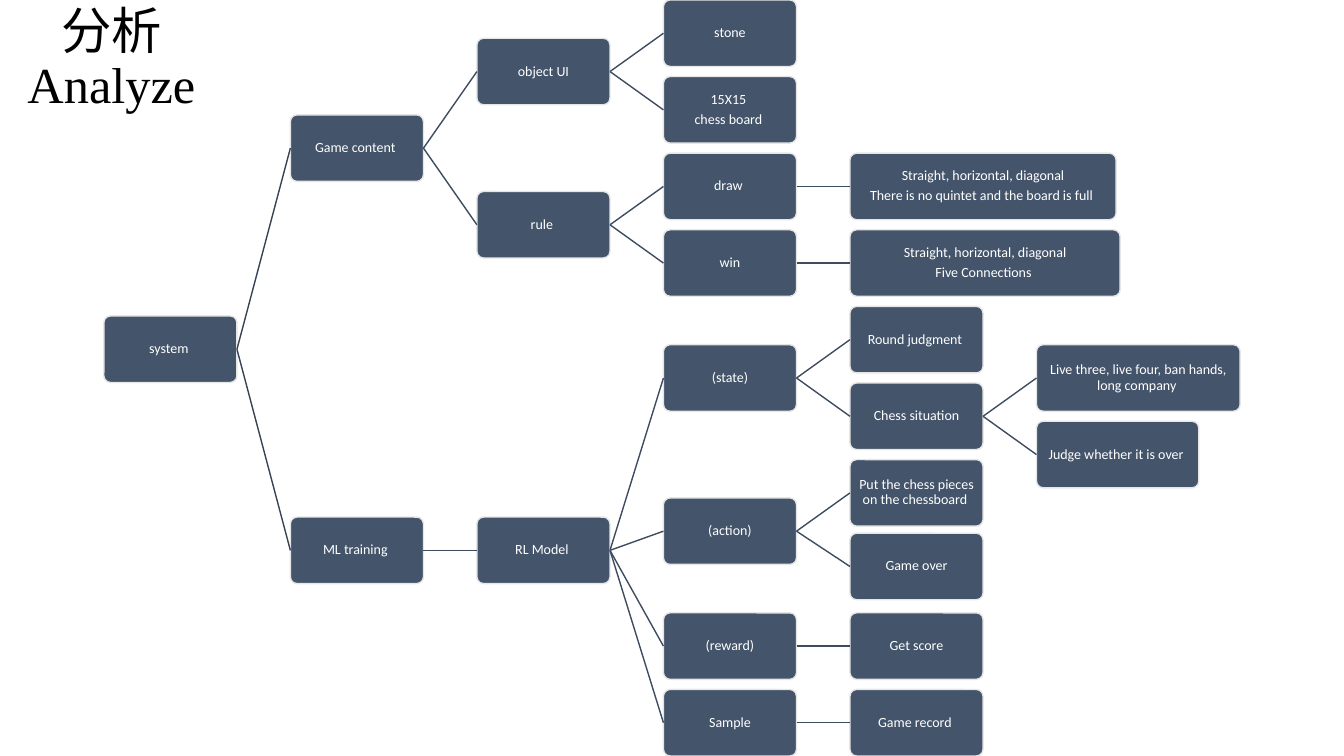
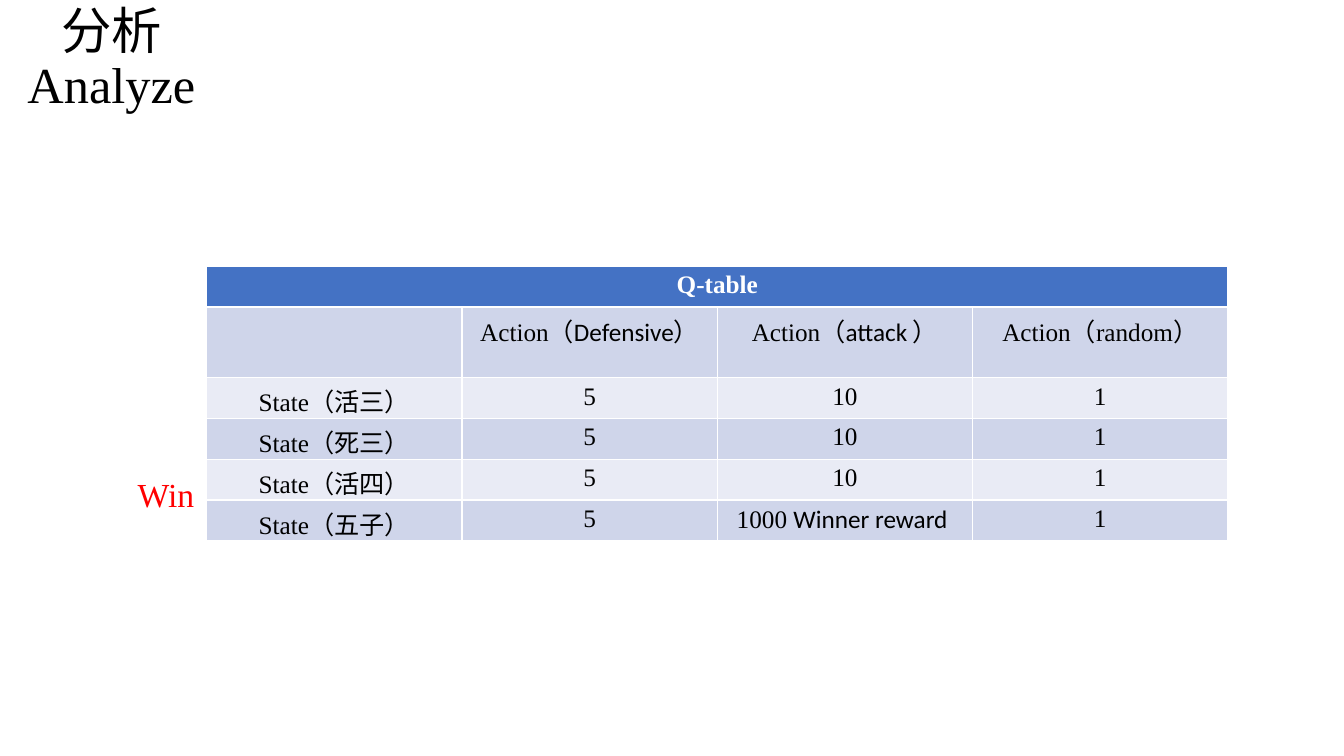
import dataclasses

import pptx
import pptx.dml.color
import pptx.enum.shapes
import pptx.enum.text
import pptx.oxml.ns
import pptx.util
from lxml import etree

Inches = pptx.util.Inches
Pt = pptx.util.Pt

COLORS = {
    "ink": "000000", "white": "FFFFFF", "win": "FF0000",
    "node": "44546A", "node_edge": "E7E6E6",
    "root_link": "364355", "link": "3E4C60",
    "header": "4472C4", "band_dark": "CFD5EA", "band_light": "E9EBF5",
}
SERIF, SANS = "Times New Roman", "Calibri"

# Tree geometry
NODE_W, NODE_H = 1.32, 0.66
COLUMN_STEP, ROW_STEP = 1.85, 0.76


def rgb(name):
    return pptx.dml.color.RGBColor.from_string(COLORS[name])


def style_run(run, font, size, color, bold=False):
    run.font.name = font
    run.font.size = Pt(size)
    run.font.bold = bold
    run.font.color.rgb = rgb(color)


def format_text(frame, font, size, color, line_spacing=1.0, space_after=0):
    for paragraph in frame.paragraphs:
        paragraph.alignment = pptx.enum.text.PP_ALIGN.CENTER
        paragraph.line_spacing = line_spacing
        paragraph.space_after = Pt(space_after)
        for run in paragraph.runs:
            style_run(run, font, size, color)


def add_label(slide, text, box, size, color, anchor, line_spacing=1.0):
    label = slide.shapes.add_textbox(*map(Inches, box)).text_frame
    label.word_wrap = True
    label.vertical_anchor = anchor
    label.text = text
    format_text(label, SERIF, size, color, line_spacing)


def add_titled_slide(deck):
    slide = deck.slides.add_slide(deck.slide_layouts[6])
    add_label(slide, "分析\vAnalyze", (0, 0, 2.21, 1.19), 36, "ink",
              pptx.enum.text.MSO_ANCHOR.MIDDLE, 0.9)
    return slide


# Tree: leaves name their row, parents sit midway between first and last child
@dataclasses.dataclass
class Node:
    text: str
    children: tuple = ()
    leaf_row: float = 0
    width: float = NODE_W
    shift: float = 0

    def row(self):
        if not self.children:
            return self.leaf_row
        return (self.children[0].row() + self.children[-1].row()) / 2


def leaf(text, row, width=NODE_W, shift=0):
    return Node(text, (), row, width, shift)


def branch(text, *children):
    return Node(text, children)


SYSTEM = branch(
    "system ",
    branch(
        "Game content ",
        branch("object UI", leaf("stone", 0), leaf("15X15 \nchess board ", 1)),
        branch(
            "rule ",
            branch("draw ", leaf("Straight, horizontal, diagonal\n"
                                 "There is no quintet and the board is full ", 2, 2.64)),
            branch("win", leaf("Straight, horizontal, diagonal\nFive Connections ", 3, 2.68)))),
    branch(
        "ML training ",
        branch(
            "RL Model ",
            branch(
                "(state)",
                leaf("Round judgment ", 4),
                branch("Chess situation",
                       leaf("Live three, live four, ban hands, long company ", 4.5, 2.02),
                       leaf("Judge whether it is over ", 5.5, 1.61))),
            branch("(action)",
                   leaf("Put the chess pieces on the chessboard ", 6),
                   leaf("Game over", 7, shift=-0.03)),
            branch("(reward)", leaf("Get score", 8)),
            branch("Sample", leaf("Game record ", 9)))))


def add_node(slide, node, left, top):
    box = slide.shapes.add_shape(
        pptx.enum.shapes.MSO_SHAPE.ROUNDED_RECTANGLE,
        Inches(left), Inches(top), Inches(node.width), Inches(NODE_H))
    box.adjustments[0] = 0.1
    box.shadow.inherit = False
    box.fill.solid()
    box.fill.fore_color.rgb = rgb("node")
    box.line.color.rgb = rgb("node_edge")
    box.line.width = Pt(1)
    frame = box.text_frame
    frame.word_wrap = True
    frame.vertical_anchor = pptx.enum.text.MSO_ANCHOR.MIDDLE
    frame.margin_left = frame.margin_right = Inches(0.01)
    frame.margin_top = frame.margin_bottom = Inches(0.01)
    frame.text = node.text
    format_text(frame, SANS, 10, "white", 0.9, 3.5)
    return box


def add_link(slide, parent_box, child_box, color):
    link = slide.shapes.add_connector(
        pptx.enum.shapes.MSO_CONNECTOR.STRAIGHT, 0, 0, 0, 0)
    link.begin_connect(parent_box, 3)
    link.end_connect(child_box, 1)
    link.line.color.rgb = rgb(color)
    link.line.width = Pt(1)
    etree.SubElement(link._element.spPr, pptx.oxml.ns.qn("a:effectLst"))


def add_tree(slide, node, left, top, link_color="root_link"):
    node_box = add_node(slide, node, left, top + node.row() * ROW_STEP + node.shift)
    for child in node.children:
        child_box = add_tree(slide, child, left + COLUMN_STEP, top, "link")
        add_link(slide, node_box, child_box, link_color)
    return node_box


# Q-table: text between bars is set in the sans font
Q_ROWS = [
    ["Q-table", "", "", ""],
    ["", "Action（|Defensive|）", "Action（|attack |）", "Action（random）"],
    ["State（活三）", "5", "10", "1"],
    ["State（死三）", "5", "10", "1"],
    ["State（活四）", "5", "10", "1"],
    ["State（五子）", "5", "1000 |Winner reward ", "1"],
]


def fill_cell(cell, text, fill, color, bold):
    cell.fill.solid()
    cell.fill.fore_color.rgb = rgb(fill)
    paragraph = cell.text_frame.paragraphs[0]
    paragraph.alignment = pptx.enum.text.PP_ALIGN.CENTER
    if not text:
        return
    for index, part in enumerate(text.split("|")):
        run = paragraph.add_run()
        run.text = part
        style_run(run, SANS if index % 2 else SERIF, 18, color, bold)


def add_q_table(slide, left, top, width, height):
    q_table = slide.shapes.add_table(
        len(Q_ROWS), len(Q_ROWS[0]),
        Inches(left), Inches(top), Inches(width), Inches(height)).table
    for row, texts in enumerate(Q_ROWS):
        header = row == 0
        band = "header" if header else ("band_dark" if row % 2 else "band_light")
        for column, text in enumerate(texts):
            fill_cell(q_table.cell(row, column), text, band,
                      "white" if header else "ink", header)
    q_table.cell(0, 0).merge(q_table.cell(0, len(Q_ROWS[0]) - 1))


def build():
    deck = pptx.Presentation()
    deck.slide_width, deck.slide_height = Inches(13.33), Inches(7.5)

    # Slide 1: system breakdown
    add_tree(add_titled_slide(deck), SYSTEM, 1.03, 0)

    # Slide 2: rewards by state and action
    rewards = add_titled_slide(deck)
    add_q_table(rewards, 2.05, 2.64, 10.13, 2.43)
    add_label(rewards, "Win", (1.24, 4.65, 0.81, 0.5), 24, "win",
              pptx.enum.text.MSO_ANCHOR.TOP)

    deck.save("out.pptx")


build()
